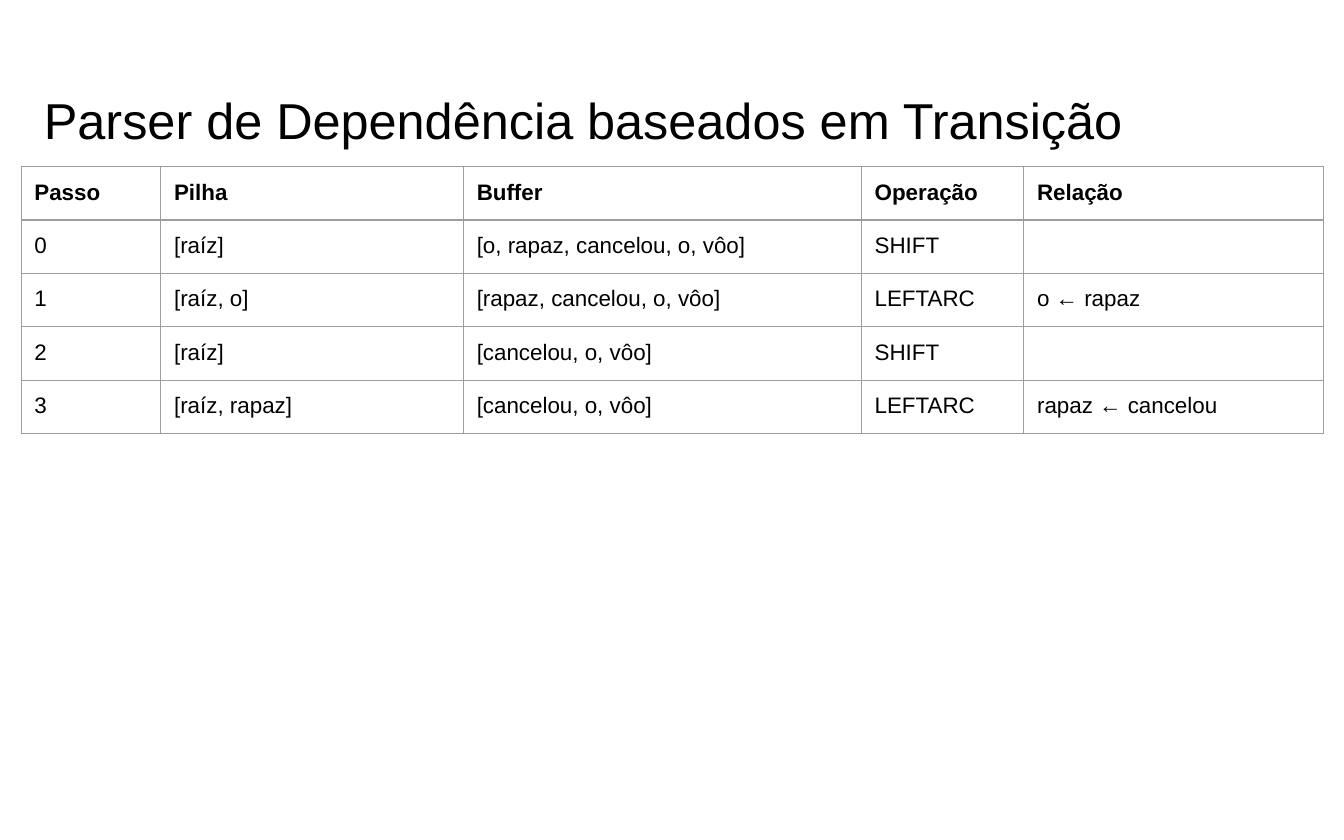
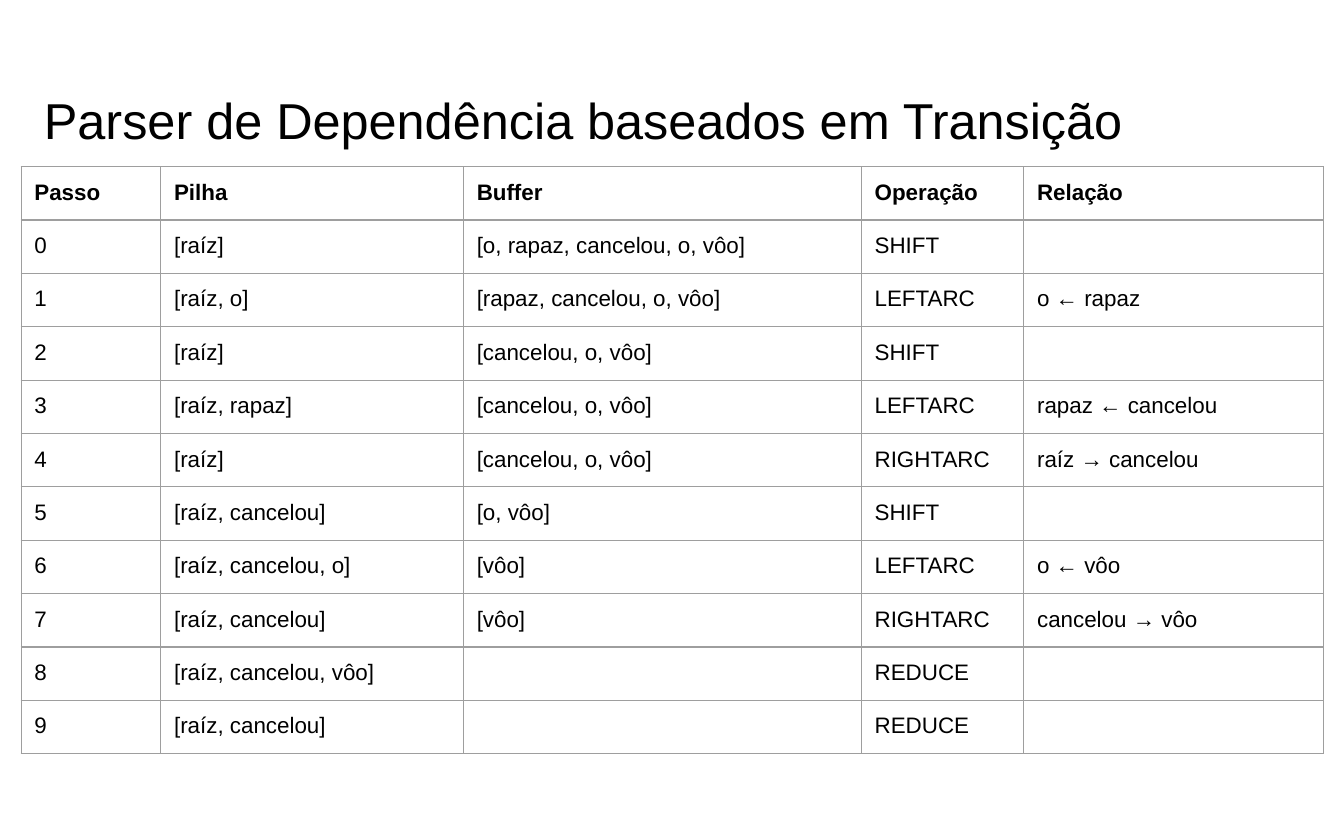
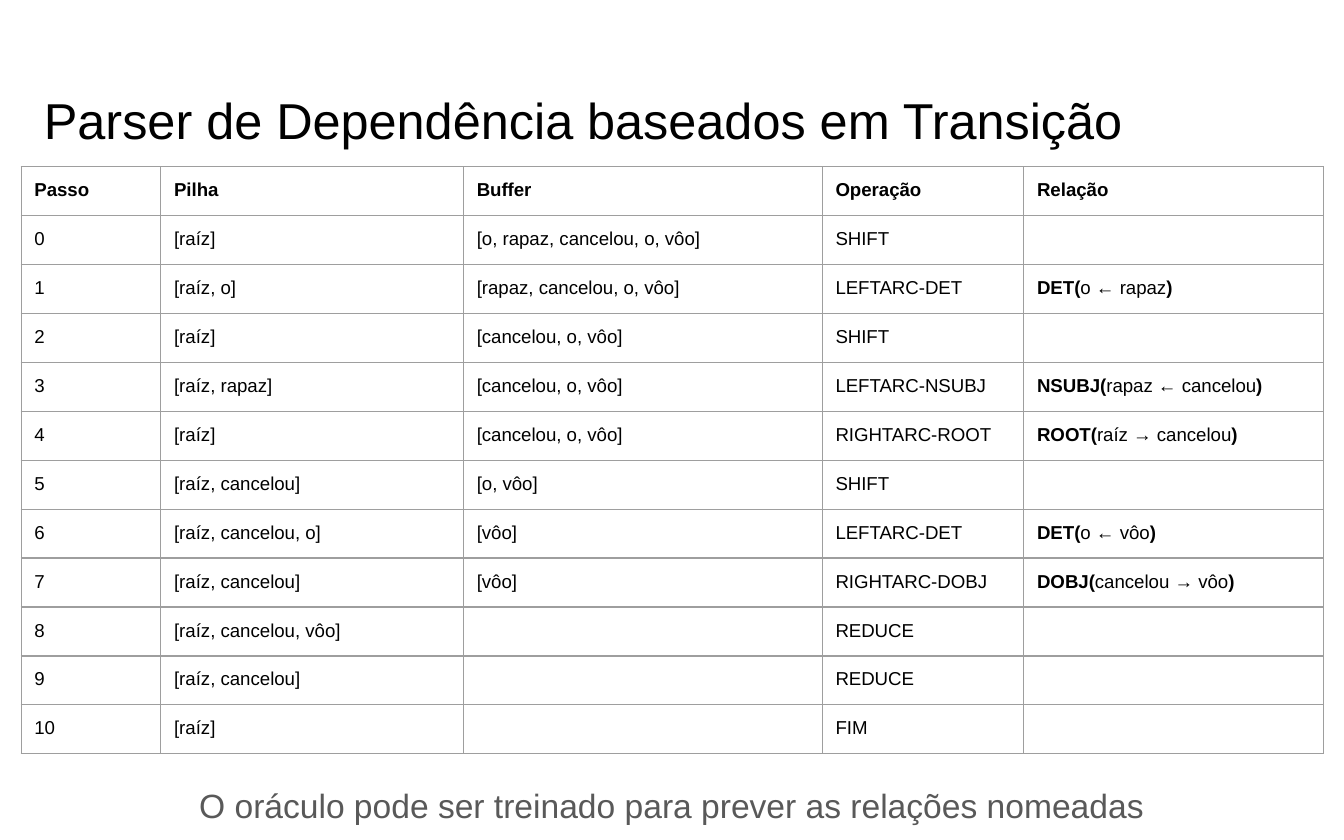
from dataclasses import dataclass

from lxml.etree import SubElement
from pptx import Presentation
from pptx.dml.color import RGBColor
from pptx.enum.text import MSO_ANCHOR, PP_ALIGN
from pptx.oxml.ns import qn
from pptx.slide import Slide
from pptx.table import _Cell
from pptx.text.text import _Paragraph
from pptx.util import Cm, Pt

FONT = "Arial"
BLACK, GRAY, RULE = "000000", "595959", "9E9E9E"
TITLE = "Parser de Dependência baseados em Transição"
CAPTION = "O oráculo pode ser treinado para prever as relações nomeadas"
HEADS = ["Passo", "Pilha", "Buffer", "Operação", "Relação"]
WIDE = [2.64, 5.72, 7.52, 3.07, 5.66]
NAMED = [2.64, 5.72, 6.78, 3.81, 5.66]
PAD = Cm(0.25)
ROW = Cm(0.71)


@dataclass
class Step:
    stack: str
    buffer: str
    action: str
    link: str = ""
    label: str = ""


@dataclass
class Box:
    left: float
    top: float
    width: float
    height: float
    size: int
    color: str


TOP = Box(0.58, 1.37, 23.67, 1.78, 27, BLACK)
BOTTOM = Box(0.86, 14.63, 23.67, 1.07, 18, GRAY)

STEPS = [
    Step("[raíz]", "[o, rapaz, cancelou, o, vôo]", "SHIFT"),
    Step("[raíz, o]", "[rapaz, cancelou, o, vôo]", "LEFTARC", "o ← rapaz", "DET"),
    Step("[raíz]", "[cancelou, o, vôo]", "SHIFT"),
    Step("[raíz, rapaz]", "[cancelou, o, vôo]", "LEFTARC", "rapaz ← cancelou", "NSUBJ"),
    Step("[raíz]", "[cancelou, o, vôo]", "RIGHTARC", "raíz → cancelou", "ROOT"),
    Step("[raíz, cancelou]", "[o, vôo]", "SHIFT"),
    Step("[raíz, cancelou, o]", "[vôo]", "LEFTARC", "o ← vôo", "DET"),
    Step("[raíz, cancelou]", "[vôo]", "RIGHTARC", "cancelou → vôo", "DOBJ"),
    Step("[raíz, cancelou, vôo]", "", "REDUCE"),
    Step("[raíz, cancelou]", "", "REDUCE"),
    Step("[raíz]", "", "FIM"),
]


def paint(code: str) -> RGBColor:
    return RGBColor.from_string(code)


def style(para: _Paragraph, size: int, color: str, bold: bool = False) -> None:
    font = para.font
    font.name, font.size, font.bold = FONT, Pt(size), bold
    font.color.rgb = paint(color)


def write(slide: Slide, box: Box, text: str) -> _Paragraph:
    shape = slide.shapes.add_textbox(
        Cm(box.left), Cm(box.top), Cm(box.width), Cm(box.height))
    frame = shape.text_frame
    frame.word_wrap = True
    frame.vertical_anchor = MSO_ANCHOR.MIDDLE
    frame.margin_left = frame.margin_right = PAD
    frame.margin_top = frame.margin_bottom = PAD
    para = frame.paragraphs[0]
    para.text = text
    style(para, box.size, box.color)
    return para


def edge(cell: _Cell) -> None:
    """Rule all four sides of a cell and leave it unfilled."""
    props = cell._tc.get_or_add_tcPr()
    for side in ("lnL", "lnR", "lnT", "lnB"):
        line = SubElement(props, qn(f"a:{side}"), w=str(Pt(0.75)))
        fill = SubElement(line, qn("a:solidFill"))
        SubElement(fill, qn("a:srgbClr"), val=RULE)
    cell.fill.background()


def put(cell: _Cell, parts: list[str], size: int, head: bool) -> None:
    """Fill a cell; of several parts, the outer ones are bold."""
    cell.margin_left = cell.margin_right = PAD
    cell.margin_top = cell.margin_bottom = PAD
    edge(cell)
    para = cell.text_frame.paragraphs[0]
    style(para, size, BLACK, head)
    for spot, part in enumerate(parts):
        run = para.add_run()
        run.text = part
        if len(parts) > 1:
            run.font.bold = spot != 1
    if not parts:
        SubElement(para._p, qn("a:endParaRPr"), sz=str(size * 100))


def cells(index: int, step: Step, named: bool) -> list[list[str]]:
    """Split one step into the text parts of its five cells."""
    action, link = step.action, [step.link]
    if named and step.label:
        action = f"{action}-{step.label}"
        link = [f"{step.label}(", step.link, ")"]
    row = [[str(index)], [step.stack], [step.buffer], [action], link]
    return [[part for part in parts if part] for parts in row]


def trace(slide: Slide, steps: list[Step], widths: list[float],
          size: int, named: bool) -> None:
    rows = [[[head] for head in HEADS]]
    rows += [cells(index, step, named) for index, step in enumerate(steps)]
    table = slide.shapes.add_table(
        len(rows), len(HEADS), Cm(0.4), Cm(3.15),
        Cm(sum(widths)), ROW * len(rows)).table
    table.first_row = table.horz_banding = False
    for column, width in zip(table.columns, widths):
        column.width = Cm(width)
    for y, row in enumerate(rows):
        table.rows[y].height = ROW
        for x, parts in enumerate(row):
            put(table.cell(y, x), parts, size, y == 0)


def main() -> None:
    deck = Presentation()
    deck.slide_width, deck.slide_height = Cm(25.4), Cm(15.88)
    for count, widths, size, named in (
            (4, WIDE, 12, False), (10, WIDE, 12, False), (11, NAMED, 10, True)):
        slide = deck.slides.add_slide(deck.slide_layouts[6])
        write(slide, TOP, TITLE)
        trace(slide, STEPS[:count], widths, size, named)
        if named:
            note = write(slide, BOTTOM, CAPTION)
            note.alignment = PP_ALIGN.CENTER
            note.line_spacing = 1.15
            note.space_after = Pt(10)
    deck.save("out.pptx")


if __name__ == "__main__":
    main()
